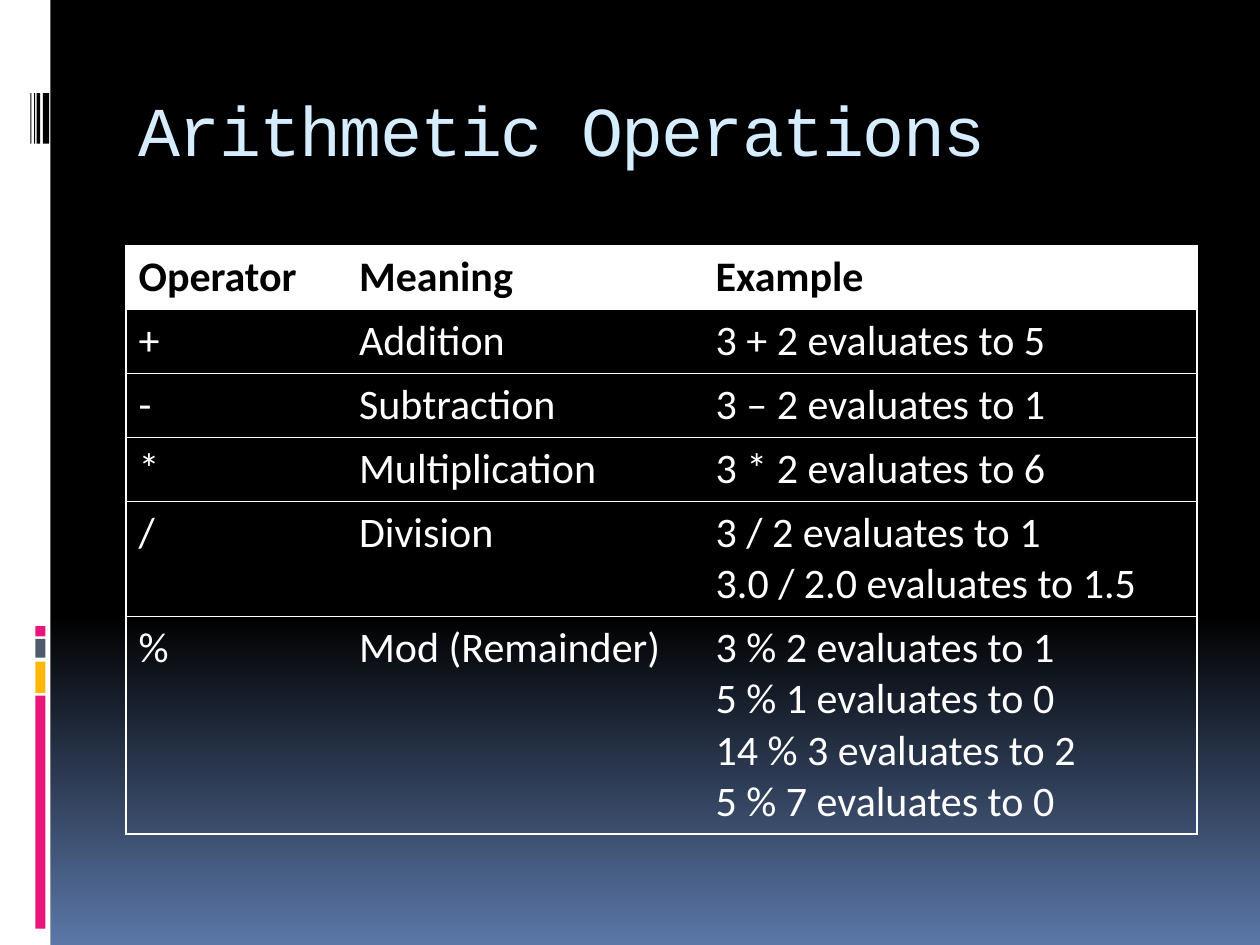
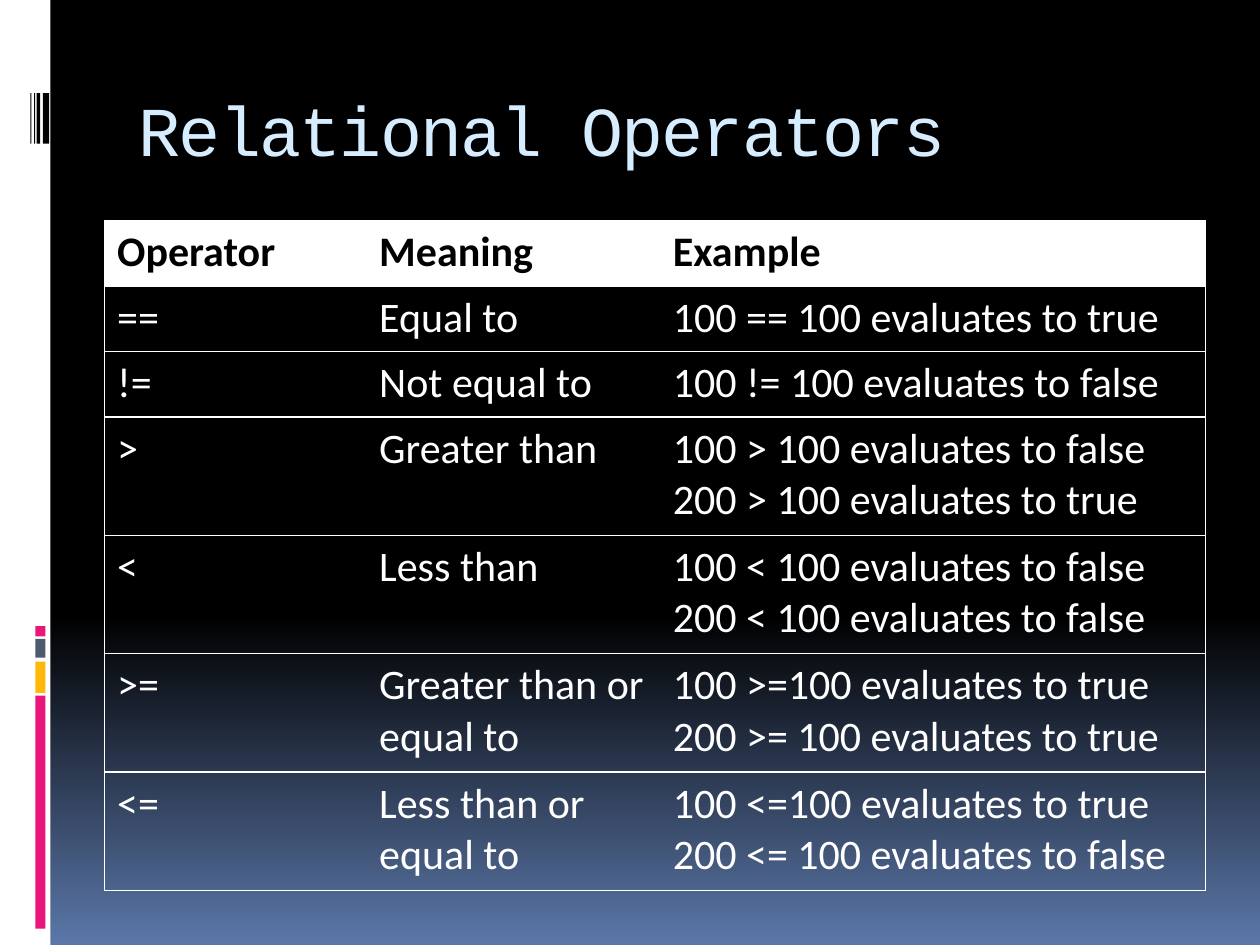
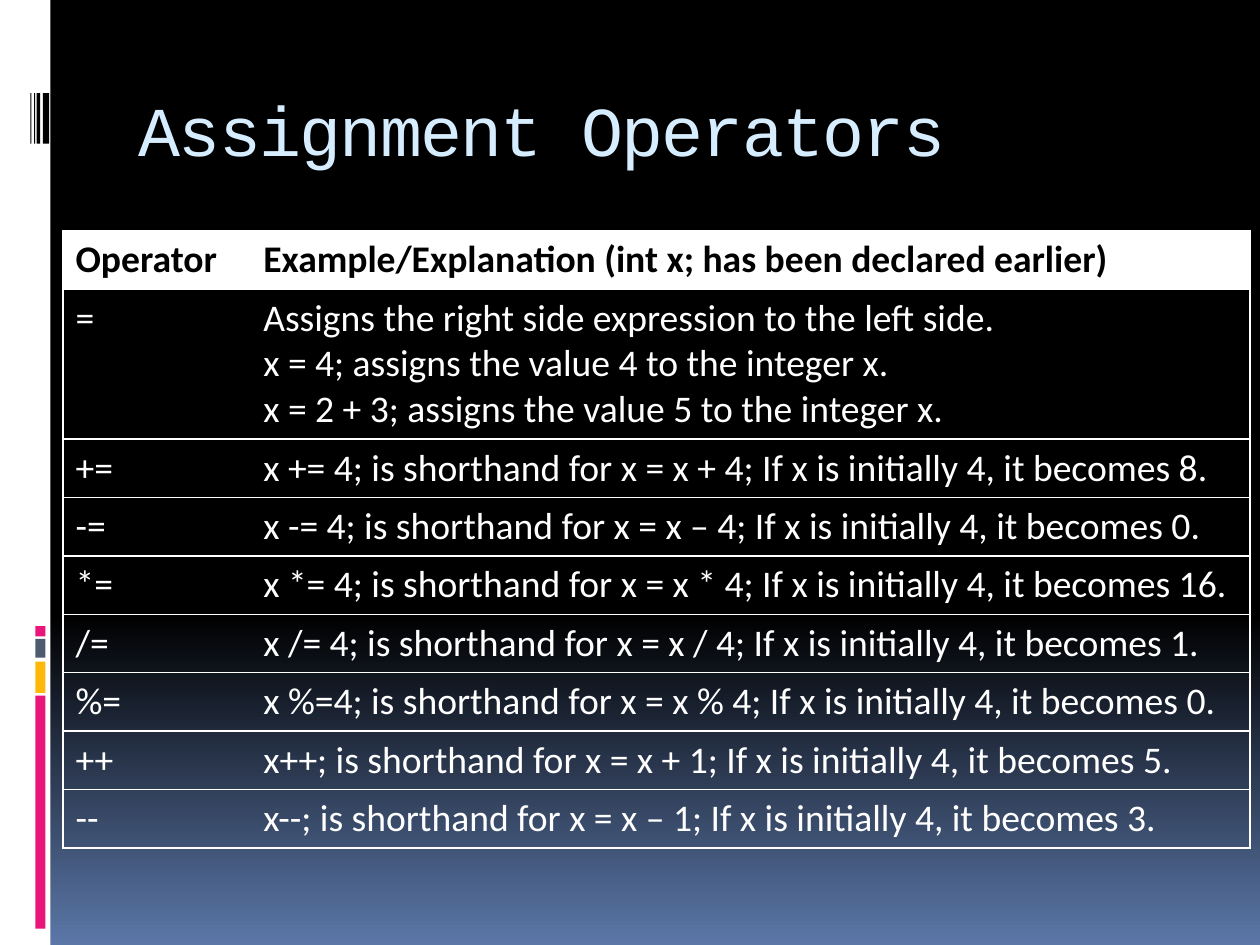
"""Build three slides on operators, each a title above a ruled table."""
from copy import deepcopy
from dataclasses import dataclass

from pptx import Presentation
from pptx.dml.color import RGBColor
from pptx.enum import shapes, text
from pptx.oxml import ns, xmlchemy
from pptx.util import Inches, Pt


@dataclass(frozen=True)
class Theme:
    """Colours, fonts and type sizes of the deck."""
    white: str = "FFFFFF"
    black: str = "000000"
    glow: str = "5B77A8"
    pink: str = "EA157A"
    amber: str = "FEB80A"
    slate: str = "4E5B6F"
    title: str = "D6ECFF"
    title_font: str = "Courier New"
    body_font: str = "Calibri"
    title_size: float = 40
    table_size: float = 24
    small_table_size: float = 21.5
    rule: float = 0.94


def rgb(value):
    """Turn a hex string into a colour."""
    return RGBColor.from_string(value)


class Builder:
    """Hold the deck, its style and the current slide."""

    def __init__(self, theme):
        """Start a 10 by 7.5 inch deck."""
        self.theme = theme
        self.deck = Presentation()
        self.deck.slide_width = Inches(10)
        self.deck.slide_height = Inches(7.5)
        self.master = self.deck.slide_master
        self.page = None

    def add_page(self, title):
        """Add a slide with its title."""
        self.page = self.deck.slides.add_slide(self.deck.slide_layouts[5])
        box = self.page.shapes.title
        box.left, box.top = Inches(1), Inches(0.56)
        box.width, box.height = Inches(8.5), Inches(1)
        frame = box.text_frame
        frame.text = title
        frame.vertical_anchor = text.MSO_ANCHOR.MIDDLE
        para = frame.paragraphs[0]
        para.alignment = text.PP_ALIGN.LEFT
        para.line_spacing = 0.9
        self.style(para, self.theme.title_font, self.theme.title_size,
                   self.theme.title)
        for span in para.runs:
            span.font.fill  # creates the run properties
            span.font.language_id = None
            span._r.get_or_add_rPr().set("spc", "-100")

    def style(self, para, font, size, color, bold=False):
        """Set the font of a whole paragraph."""
        para.font.name = font
        para.font.size = Pt(size)
        para.font.bold = bold
        para.font.color.rgb = rgb(color)

    def background(self):
        """Give the master a black gradient that turns blue at the foot."""
        fill = self.master.background.fill
        fill.gradient()
        fill.gradient_angle = 270
        stop_list = self.master.element.find(".//" + ns.qn("a:gsLst"))
        stop_list.insert(1, deepcopy(stop_list[0]))
        stops = ((0, self.theme.black), (0.65, self.theme.black),
                 (1, self.theme.glow))
        for stop, (position, color) in zip(fill.gradient_stops, stops):
            stop.position = position
            stop.color.rgb = rgb(color)

    def master_block(self, left, top, width, height, color):
        """Draw a plain rectangle and move it to the master."""
        box = self.page.shapes.add_shape(
            shapes.MSO_SHAPE.RECTANGLE, Inches(left), Inches(top),
            Inches(width), Inches(height))
        box.shadow.inherit = False
        box.fill.solid()
        box.fill.fore_color.rgb = rgb(color)
        box.line.fill.background()
        tree = self.master.element.cSld.spTree
        box.element.nvSpPr.cNvPr.set("id", str(100 + len(tree)))
        tree.append(box.element)

    def side_band(self):
        """Draw the white band with its coloured stripes and bar code."""
        theme = self.theme
        self.master_block(0, 0, 0.4, 7.5, theme.white)
        for top, height, color in ((5.52, 1.85, theme.pink),
                                   (5.25, 0.25, theme.amber),
                                   (5.07, 0.15, theme.slate),
                                   (4.97, 0.08, theme.pink)):
            self.master_block(0.28, top, 0.08, height, color)
        for left, width in ((0.34, 0.05), (0.29, 0.03),
                            (0.27, 0.01), (0.24, 0.01)):
            self.master_block(left, 0.74, width, 0.4, theme.black)

    def border(self, cell, side, visible):
        """Rule one side of a cell, or clear it."""
        properties = cell._tc.get_or_add_tcPr()
        line = xmlchemy.OxmlElement("a:ln" + side)
        line.set("w", str(Pt(self.theme.rule)))
        properties.append(line)
        if not visible:
            line.append(xmlchemy.OxmlElement("a:noFill"))
            return
        fill = xmlchemy.OxmlElement("a:solidFill")
        color = xmlchemy.OxmlElement("a:srgbClr")
        color.set("val", self.theme.white)
        fill.append(color)
        line.append(fill)

    def table(self, place, widths, heights, rows, size):
        """Add a table with a white header and thin rules between rows."""
        left, top, width, height = map(Inches, place)
        frame = self.page.shapes.add_table(
            len(rows), len(widths), left, top, width, height)
        grid = frame.table
        grid.first_row = grid.horz_banding = False
        for column, column_width in zip(grid.columns, widths):
            column.width = Inches(column_width)
        for row, row_height in zip(grid.rows, heights):
            row.height = Inches(row_height)
        frame.height = height
        for r, row in enumerate(rows):
            for c, words in enumerate(row):
                self.cell(grid.cell(r, c), words, size, r == 0,
                          c == 0, c == len(widths) - 1)

    def cell(self, cell, words, size, header, first, last):
        """Fill in and format one table cell."""
        for side, visible in (("L", first), ("R", last),
                              ("T", True), ("B", True)):
            self.border(cell, side, visible)
        if header:
            cell.fill.solid()
            cell.fill.fore_color.rgb = rgb(self.theme.white)
        else:
            cell.fill.background()
        cell.text = words
        color = self.theme.black if header else self.theme.white
        for para in cell.text_frame.paragraphs:
            self.style(para, self.theme.body_font, size, color, header)


HEADER = ("Operator", "Meaning", "Example")

ARITHMETIC = (
    HEADER,
    ("+", "Addition", "3 + 2 evaluates to 5"),
    ("-", "Subtraction", "3 – 2 evaluates to 1"),
    ("*", "Multiplication", "3 * 2 evaluates to 6"),
    ("/", "Division", "3 / 2 evaluates to 1\n3.0 / 2.0 evaluates to 1.5"),
    ("%", "Mod (Remainder)",
     "3 % 2 evaluates to 1\n5 % 1 evaluates to 0\n"
     "14 % 3 evaluates to 2\n5 % 7 evaluates to 0"),
)

RELATIONAL = (
    HEADER,
    ("==", "Equal to", "100 == 100 evaluates to true"),
    ("!=", "Not equal to", "100 != 100 evaluates to false"),
    (">", "Greater than",
     "100 > 100 evaluates to false\n200 > 100 evaluates to true"),
    ("<", "Less than",
     "100 < 100 evaluates to false\n200 < 100 evaluates to false"),
    (">=", "Greater than or equal to",
     "100 >=100 evaluates to true\n200 >= 100 evaluates to true"),
    ("<=", "Less than or equal to",
     "100 <=100 evaluates to true\n200 <= 100 evaluates to false"),
)

SHORTHANDS = (
    ("+=", "x += 4;", "x + 4", 8),
    ("-=", "x -= 4;", "x – 4", 0),
    ("*=", "x *= 4;", "x * 4", 16),
    ("/=", "x /= 4;", "x / 4", 1),
    ("%=", "x %=4;", "x % 4", 0),
    ("++", "x++;", "x + 1", 5),
    ("--", "x--;", "x – 1", 3),
)

ASSIGNMENT = (
    ("Operator", "Example/Explanation (int x; has been declared earlier)"),
    ("=", "Assigns the right side expression to the left side.\n"
          "x = 4; assigns the value 4 to the integer x.\n"
          "x = 2 + 3; assigns the value 5 to the integer x."),
) + tuple(
    (operator, f"{code} is shorthand for x = {meaning}; "
               f"If x is initially 4, it becomes {result}.")
    for operator, code, meaning, result in SHORTHANDS
)


def main():
    """Build the three slides and save the deck."""
    theme = Theme()
    builder = Builder(theme)
    builder.background()

    builder.add_page("Arithmetic Operations")
    builder.side_band()
    builder.table((1, 1.95, 8.5, 4.6), (1.75, 2.83, 3.92),
                  [0.41] * len(ARITHMETIC), ARITHMETIC, theme.table_size)

    builder.add_page("Relational Operators")
    builder.table((0.83, 1.75, 8.75, 5.3), (2.08, 2.33, 4.33),
                  [0.52] * 3 + [0.94] * 4, RELATIONAL, theme.table_size)

    builder.add_page("Assignment Operators")
    builder.table((0.5, 1.83, 9.42, 4.84), (1.49, 7.93),
                  [0.41] * len(ASSIGNMENT), ASSIGNMENT,
                  theme.small_table_size)

    builder.deck.save("out.pptx")


main()
